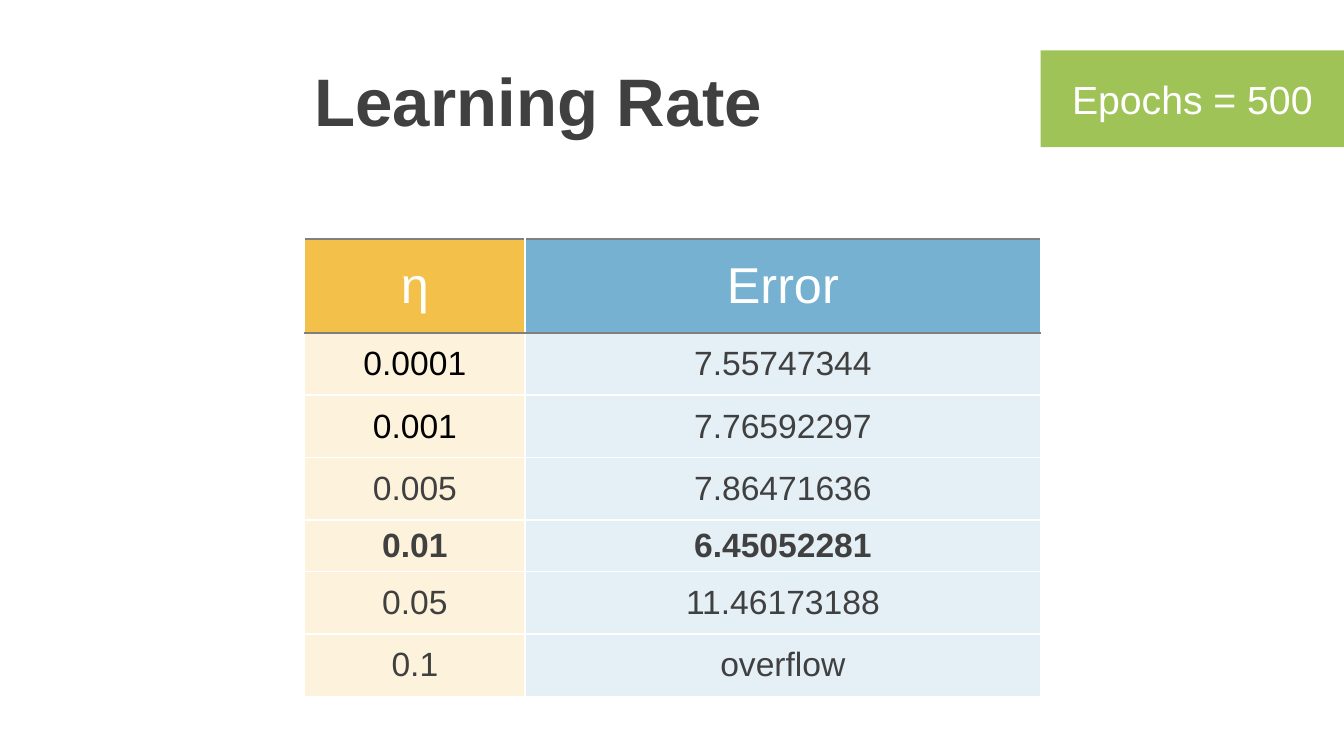
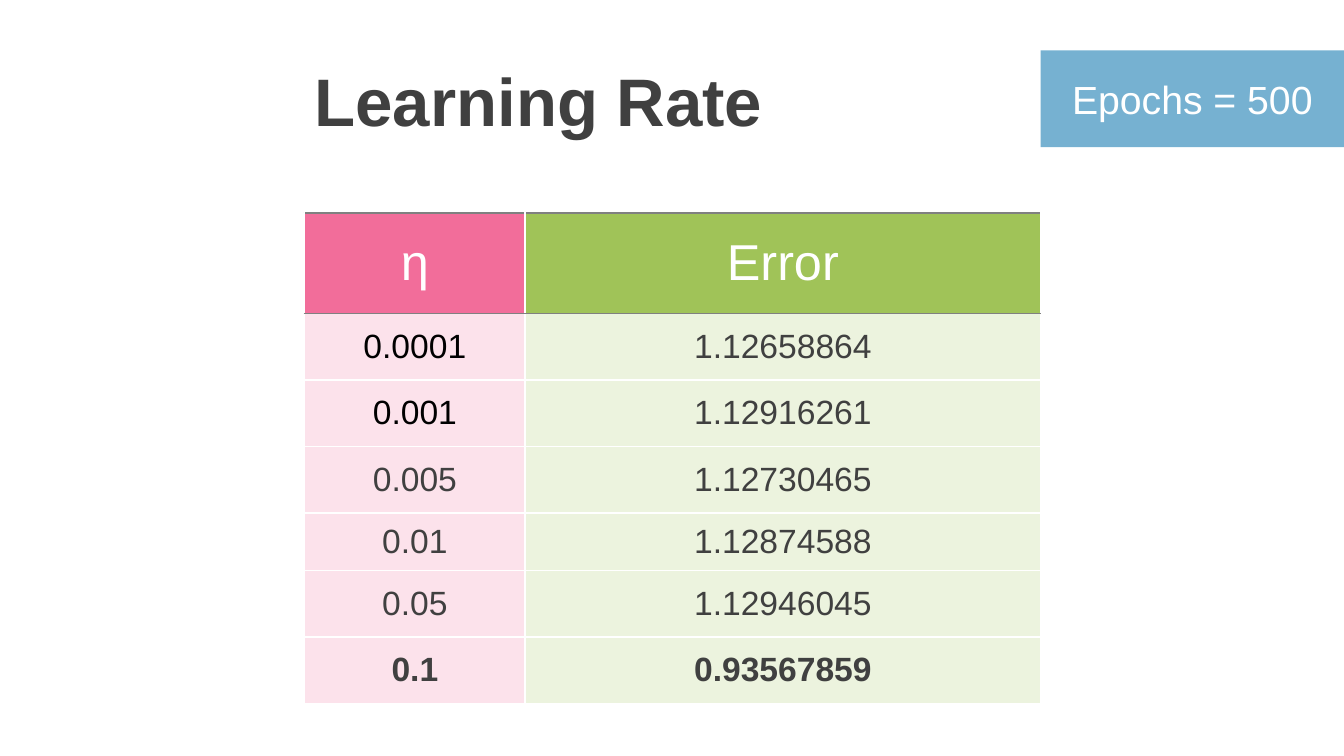
from dataclasses import dataclass
from typing import Any

from lxml.etree import SubElement
from pptx import Presentation
from pptx.dml.color import RGBColor
from pptx.enum.shapes import MSO_SHAPE as Shape
from pptx.enum.text import MSO_ANCHOR as Anchor, MSO_AUTO_SIZE as AutoSize, PP_ALIGN as Align
from pptx.oxml.ns import qn
from pptx.util import Emu, Pt

PX = 9144  # 100 px to the inch
SLIDE_SIZE = (1333, 750)
TITLE_BOX = (302, 4, 683, 190)
BADGE_BOX = (1032, 50, 301, 96)
TABLE_LEFT = 302
COLUMN_WIDTHS = (219, 511)
CELL_MARGINS = {"margin_left": 13, "margin_right": 13, "margin_top": 7, "margin_bottom": 7}
BORDER_WIDTH = Pt(1.5)

WHITE, BLACK, DARK, GRAY = "FFFFFF", "000000", "404040", "808080"
GREEN, BLUE, YELLOW, PINK = "A0C358", "76B1D1", "F3C04A", "F26D9A"
PALE = {GREEN: "ECF3DE", BLUE: "E4EFF6", YELLOW: "FDF2DB", PINK: "FCE2EB"}

TITLE_FONT = {"name": "Arial", "size": Pt(48), "bold": True}
BADGE_FONT = {"name": "Arial", "size": Pt(28), "bold": False}
HEADER_FONT = {"name": "Arial", "size": Pt(36), "bold": False}
BODY_FONT = {"name": "Arial", "size": Pt(24), "bold": False}

RATES = ("0.0001", "0.001", "0.005", "0.01", "0.05", "0.1")
BLACK_RATES = RATES[:2]


@dataclass(frozen=True)
class RateSlide:
    badge_color: str
    column_colors: tuple[str, str]
    table_top: int
    row_heights: tuple[int, ...]
    errors: tuple[str, ...]
    best_rate: str


RATE_SLIDES = (
    RateSlide(
        GREEN, (YELLOW, BLUE), 237, (93, 62, 62, 62, 51, 62, 62),
        ("7.55747344", "7.76592297", "7.86471636", "6.45052281", "11.46173188", "overflow"),
        "0.01",
    ),
    RateSlide(
        BLUE, (PINK, GREEN), 211, (100, 66, 66, 66, 57, 66, 66),
        ("1.12658864", "1.12916261", "1.12730465", "1.12874588", "1.12946045", "0.93567859"),
        "0.1",
    ),
)


def px(length: int) -> Emu:
    return Emu(length * PX)


def rgb(color: str) -> RGBColor:
    return RGBColor.from_string(color)


def set_all(target: Any, values: dict[str, Any]) -> None:
    for name, value in values.items():
        setattr(target, name, value)


def place(shape: Any, box: tuple[int, int, int, int]) -> None:
    set_all(shape, dict(zip(("left", "top", "width", "height"), map(px, box))))


def fill_solid(target: Any, color: str) -> None:
    target.fill.solid()
    target.fill.fore_color.rgb = rgb(color)


def write(frame: Any, text: str, font: dict[str, Any], color: str, align: Align) -> None:
    para = frame.paragraphs[0]
    para.alignment = align
    span = para.add_run()
    span.text = text
    set_all(span.font, font)
    span.font.color.rgb = rgb(color)


def add_border(cell: Any, side: str, color: str) -> None:
    properties = cell._tc.get_or_add_tcPr()
    line = SubElement(properties, qn(f"a:ln{side}"), w=str(BORDER_WIDTH))
    solid = SubElement(line, qn("a:solidFill"))
    SubElement(solid, qn("a:srgbClr"), val=color)


def format_cell(cell: Any, row: int, color: str) -> None:
    """Borders come before the fill, as the cell schema asks."""
    sides = {
        "L": WHITE,
        "R": WHITE,
        "T": GRAY if row <= 1 else WHITE,
        "B": GRAY if row == 0 else WHITE,
    }
    for side, border_color in sides.items():
        add_border(cell, side, border_color)
    fill_solid(cell, color if row == 0 else PALE[color])
    set_all(cell, {name: px(margin) for name, margin in CELL_MARGINS.items()})
    cell.vertical_anchor = Anchor.MIDDLE


def add_title(page: Any, text: str) -> None:
    title = page.shapes.title
    place(title, TITLE_BOX)
    frame = title.text_frame
    set_all(frame, {"vertical_anchor": Anchor.MIDDLE, "word_wrap": True,
                    "auto_size": AutoSize.NONE})
    write(frame, text, TITLE_FONT, DARK, Align.LEFT)


def add_badge(page: Any, text: str, color: str) -> None:
    badge = page.shapes.add_shape(Shape.RECTANGLE, *map(px, BADGE_BOX))
    badge.shadow.inherit = False
    fill_solid(badge, color)
    badge.line.fill.background()
    badge.text_frame.vertical_anchor = Anchor.MIDDLE
    write(badge.text_frame, text, BADGE_FONT, WHITE, Align.CENTER)


def add_error_table(page: Any, content: RateSlide) -> None:
    rows = [("η", "Error"), *zip(RATES, content.errors)]
    table = page.shapes.add_table(
        len(rows), len(COLUMN_WIDTHS), px(TABLE_LEFT), px(content.table_top),
        px(sum(COLUMN_WIDTHS)), px(sum(content.row_heights)),
    ).table
    table.horz_banding = False
    for column, width in zip(table.columns, COLUMN_WIDTHS):
        column.width = px(width)
    for row, (texts, height) in enumerate(zip(rows, content.row_heights)):
        table.rows[row].height = px(height)
        font = HEADER_FONT if row == 0 else BODY_FONT | {"bold": texts[0] == content.best_rate}
        for column, (text, color) in enumerate(zip(texts, content.column_colors)):
            cell = table.cell(row, column)
            format_cell(cell, row, color)
            text_color = WHITE if row == 0 else BLACK if text in BLACK_RATES else DARK
            write(cell.text_frame, text, font, text_color, Align.CENTER)


def main() -> None:
    deck = Presentation()
    deck.slide_width, deck.slide_height = map(px, SLIDE_SIZE)
    title_only = deck.slide_layouts.get_by_name("Title Only")
    for content in RATE_SLIDES:
        page = deck.slides.add_slide(title_only)
        add_title(page, "Learning Rate")
        add_error_table(page, content)
        add_badge(page, "Epochs = 500", content.badge_color)
    deck.save("out.pptx")


if __name__ == "__main__":
    main()
